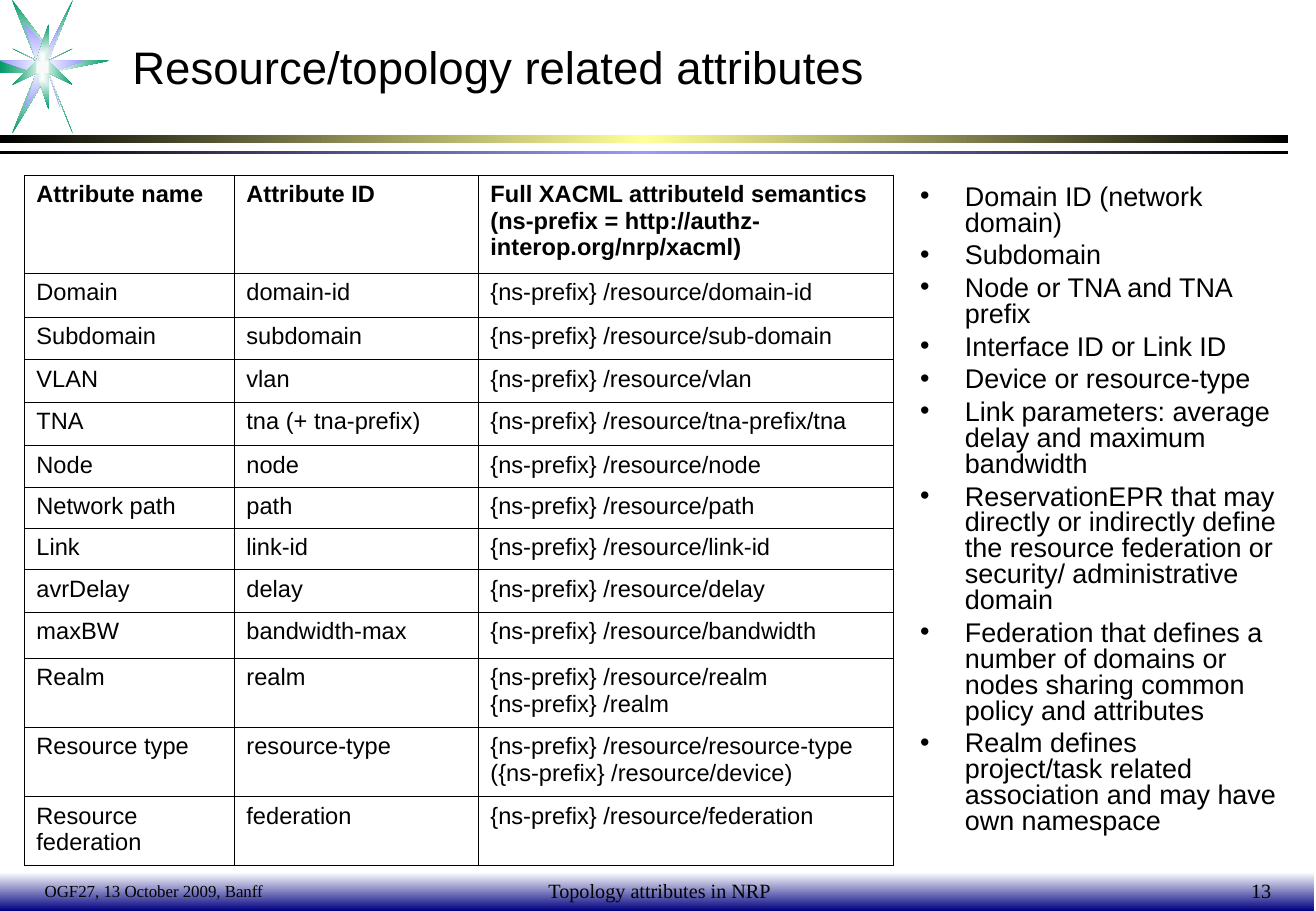
from pptx import Presentation
from pptx.dml.color import RGBColor
from pptx.enum.shapes import MSO_SHAPE as Shape
from pptx.enum.text import MSO_ANCHOR as Anchor, MSO_AUTO_SIZE as Fit, PP_ALIGN as Align
from pptx.oxml import parse_xml
from pptx.util import Inches, Pt

NS = 'xmlns:a="http://schemas.openxmlformats.org/drawingml/2006/main"'
INK = {"black": "000000", "white": "FFFFFF", "navy": "000080", "gold": "FFFF99",
       "lilac": "9999FF", "green": "009966", "pale": "F9F9F9"}
LINEAR = '<a:lin ang="{}" scaled="0"/>'
CENTRE = '<a:path path="rect"><a:fillToRect l="50000" t="50000" r="50000" b="50000"/></a:path>'

HEAD = ["Attribute name", "Attribute ID",
        "Full XACML attributeId semantics\n(ns-prefix = http://authz-interop.org/nrp/xacml)"]
ROWS = [
    ("Domain", "domain-id", "{ns-prefix} /resource/domain-id"),
    ("Subdomain", "subdomain", "{ns-prefix} /resource/sub-domain"),
    ("VLAN", "vlan", "{ns-prefix} /resource/vlan"),
    ("TNA", "tna (+ tna-prefix)", "{ns-prefix} /resource/tna-prefix/tna"),
    ("Node", "node", "{ns-prefix} /resource/node"),
    ("Network path", "path", "{ns-prefix} /resource/path"),
    ("Link", "link-id", "{ns-prefix} /resource/link-id"),
    ("avrDelay", "delay", "{ns-prefix} /resource/delay"),
    ("maxBW", "bandwidth-max", "{ns-prefix} /resource/bandwidth"),
    ("Realm", "realm", "{ns-prefix} /resource/realm\n{ns-prefix} /realm"),
    ("Resource type", "resource-type",
     "{ns-prefix} /resource/resource-type\n({ns-prefix} /resource/device)"),
    ("Resource federation", "federation", "{ns-prefix} /resource/federation"),
]
WIDTHS = [17.3, 20.1, 34.2]
HEIGHTS = [8.1, 3.6, 3.5, 3.5, 3.6, 3.4, 3.4, 3.4, 3.5, 3.8, 5.7, 5.7, 5.7]
POINTS = [
    "Domain ID (network domain)",
    "Subdomain",
    "Node or TNA and TNA prefix",
    "Interface ID or Link ID",
    "Device or resource-type",
    "Link parameters: average delay and maximum bandwidth",
    "ReservationEPR that may directly or indirectly define the resource federation "
    "or security/ administrative domain",
    "Federation that defines a number of domains or nodes sharing common policy and attributes",
    "Realm defines project/task related association and may have own namespace",
]
STARS = [
    ([(3, 4.9), (1.2, .3), (3.7, 4.4), (6.2, .3), (4.4, 4.9), (8.7, 5.4), (4.3, 5.9),
      (6.2, 10.6), (3.7, 6.4), (1.2, 10.6), (2.9, 5.9), (0, 5.6), (0, 5.3)], "green"),
    ([(3, 5), (1.8, 1.7), (3.7, 4.4), (5.4, 1.7), (4.4, 5), (7.3, 5.4), (4.4, 5.9),
      (5.4, 9.2), (3.7, 6.4), (1.8, 9.2), (2.9, 5.9), (0, 5.4)], "lilac"),
    ([(1.1, 3.7), (3.4, 4.9), (3.7, 1.9), (3.9, 4.9), (6.2, 3.6), (4.1, 5.4), (6.2, 7.2),
      (3.9, 5.9), (3.7, 9), (3.4, 5.9), (1.1, 7.2), (3.2, 5.4)], "green"),
    ([(3.1, 4.9), (3.6, 5.2), (3.7, 4.5), (3.8, 5.2), (4.3, 4.9), (3.9, 5.4), (4.3, 5.8),
      (3.8, 5.6), (3.7, 6.3), (3.6, 5.6), (3.1, 5.8), (3.4, 5.4)], None),
]


def write(frame, text, size=14, font="Arial", bold=False, align=Align.LEFT,
          bullet=False, gap=0, lead=None):
    for n, line in enumerate(text.split("\n")):
        para = frame.add_paragraph() if n else frame.paragraphs[0]
        if bullet:
            props = para._p.get_or_add_pPr()
            props.set("marL", str(Inches(.37)))
            props.set("indent", str(-Inches(.37)))
            props.append(parse_xml(
                f'<a:buClr {NS}><a:srgbClr val="{INK["black"]}"/></a:buClr>'))
            props.append(parse_xml(f'<a:buFont {NS} typeface="Arial"/>'))
            props.append(parse_xml(f'<a:buChar {NS} char="•"/>'))
        para.alignment = align
        para.space_before = Pt(gap if n else 0)
        if lead:
            para.line_spacing = lead
        run = para.add_run()
        run.text = line
        run.font.size = Pt(size)
        run.font.name = font
        run.font.bold = bold
        run.font.color.rgb = RGBColor.from_string(INK["black"])


class Page:
    cell = Inches(.1)

    def __init__(self, cols, rows):
        self.deck = Presentation()
        self.deck.slide_width, self.deck.slide_height = self.span(cols, rows)
        self.slide = self.deck.slides.add_slide(self.deck.slide_layouts[5])
        self.shapes = self.slide.shapes

    def span(self, *units):
        return [round(u * self.cell) for u in units]

    def blend(self, shape, inks, way):
        last = len(inks) - 1
        stops = "".join(
            f'<a:gs pos="{100000 * n // last}"><a:srgbClr val="{INK[ink]}"/></a:gs>'
            for n, ink in enumerate(inks))
        shape.fill.background()
        props = shape._element.spPr
        props.replace(props.find("{*}noFill"), parse_xml(
            f'<a:gradFill {NS} rotWithShape="1"><a:gsLst>{stops}</a:gsLst>{way}</a:gradFill>'))

    def plain(self, shape):
        shape.shadow.inherit = False
        shape.line.fill.background()

    def band(self, at, inks, angle):
        shape = self.shapes.add_shape(Shape.RECTANGLE, *self.span(*at))
        self.plain(shape)
        self.blend(shape, inks, LINEAR.format(angle * 60000))

    def star(self, dots, ink):
        pen = self.shapes.build_freeform(*dots[0], scale=self.cell)
        pen.add_line_segments(dots[1:], close=True)
        shape = pen.convert_to_shape()
        self.plain(shape)
        if ink:
            self.blend(shape, ["white", ink], CENTRE)
        else:
            shape.fill.solid()
            shape.fill.fore_color.rgb = RGBColor.from_string(INK["pale"])

    def title(self, at, text, **form):
        self.fill(self.shapes.title, at, text, Anchor.MIDDLE, form)

    def box(self, at, text, anchor=Anchor.MIDDLE, **form):
        self.fill(self.shapes.add_textbox(0, 0, 0, 0), at, text, anchor, form)

    def fill(self, shape, at, text, anchor, form):
        shape.left, shape.top, shape.width, shape.height = self.span(*at)
        frame = shape.text_frame
        frame.word_wrap = True
        frame.auto_size = Fit.NONE
        frame.vertical_anchor = anchor
        write(frame, text, **form)

    def table(self, left, top, widths, heights, rows):
        at = self.span(left, top, sum(widths), sum(heights))
        table = self.shapes.add_table(len(rows), len(widths), *at).table
        table.first_row = table.horz_banding = False
        for col, width in zip(table.columns, self.span(*widths)):
            col.width = width
        for row, height in zip(table.rows, self.span(*heights)):
            row.height = height
        for r, row in enumerate(rows):
            for c, text in enumerate(row):
                cell = table.cell(r, c)
                self.edge(cell)
                cell.fill.background()
                write(cell.text_frame, text, bold=r == 0)

    def edge(self, cell):
        props = cell._tc.get_or_add_tcPr()
        for side in "LRTB":
            props.append(parse_xml(
                f'<a:ln{side} {NS} w="{Pt(.45)}"><a:solidFill>'
                f'<a:srgbClr val="{INK["black"]}"/></a:solidFill></a:ln{side}>'))


def main():
    page = Page(108.4, 75)
    page.band((0, 71.8, 108.2, 3.2), ["white", "navy"], 90)
    page.band((0, 11.1, 106.1, .7), ["black", "gold", "black"], 0)
    page.band((0, 12.4, 106.1, .3), ["black", "lilac", "black"], 0)
    for dots, ink in STARS:
        page.star(dots, ink)
    page.title((9.9, 2.1, 96.5, 6.7), "Resource/topology related attributes", size=27)
    page.table(2, 14.4, WIDTHS, HEIGHTS, [HEAD, *ROWS])
    page.box((74.8, 14.8, 31.5, 56.4), "\n".join(POINTS), Anchor.TOP,
             size=16, bullet=True, gap=4, lead=.8)
    for left, width, text, size, align in [
        (37.2, 34.3, "Topology attributes in NRP", 12, Align.CENTER),
        (83.2, 22.5, "13", 12, Align.RIGHT),
        (2.7, 28.9, "OGF27, 13 October 2009, Banff", 10, Align.LEFT),
    ]:
        page.box((left, 71.7, width, 3.3), text, size=size,
                 font="Times New Roman", align=align)
    page.deck.save("out.pptx")


if __name__ == "__main__":
    main()
